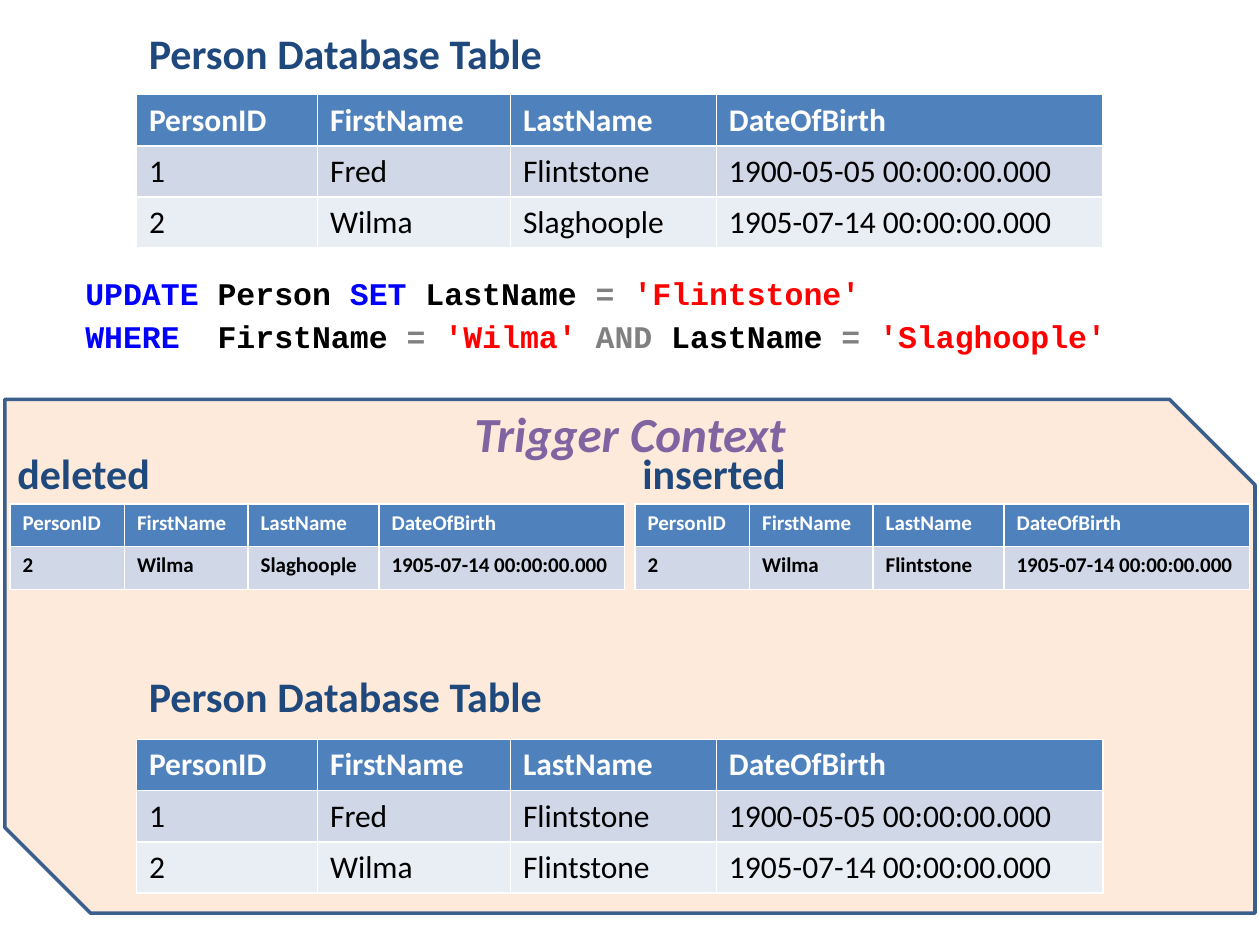
from pptx import Presentation
from pptx.util import Cm, Pt
from pptx.dml.color import RGBColor as RGB
from pptx.enum.shapes import MSO_SHAPE as Kind
from pptx.enum.text import PP_ALIGN as Align

# Content
HEAD = ["PersonID", "FirstName", "LastName", "DateOfBirth"]
FRED = ["1", "Fred", "Flintstone", "1900-05-05 00:00:00.000"]
OLD = ["2", "Wilma", "Slaghoople", "1905-07-14 00:00:00.000"]
NEW = ["2", "Wilma", "Flintstone", "1905-07-14 00:00:00.000"]
SQL = [
    [("key", "UPDATE"), ("ink", " Person "), ("key", "SET "),
     ("ink", "LastName "), ("sign", "= "), ("text", "'Flintstone'")],
    [("key", "WHERE  "), ("ink", "FirstName "), ("sign", "= "),
     ("text", "'Wilma' "), ("sign", "AND "), ("ink", "LastName "),
     ("sign", "= "), ("text", "'Slaghoople'")],
]

THEME = {
    "font": "Calibri", "code": "Courier New",
    "ink": "000000", "key": "0000FF", "sign": "808080", "text": "FF0000",
    "label": "1F497D", "title": "8064A2", "panel": "FDEADA", "edge": "3A5F8C",
    "head": "4F81BD", "white": "FFFFFF", "bands": ("D0D8E8", "E9EDF4"),
    "title_pt": 28, "label_pt": 24, "body_pt": 18, "small_pt": 12,
}

# Table sizes in cm: column widths, row height, type size, bold body
BIG = ((3.65, 3.89, 4.15, 7.8), 1.03, THEME["body_pt"], False)
SMALL = ((2.31, 2.49, 2.64, 4.95), 0.86, THEME["small_pt"], True)

# Label, its left and top; table left, top, size and rows
GROUPS = [
    ("Person Database Table", 2.75, 0.42, 2.75, 1.91, BIG, [FRED, OLD]),
    ("deleted", 0.1, 8.89, 0.2, 10.16, SMALL, [OLD]),
    ("inserted", 12.7, 8.89, 12.8, 10.16, SMALL, [NEW]),
    ("Person Database Table", 2.75, 13.4, 2.75, 14.91, BIG, [FRED, NEW]),
]


def style(par, size, tint, bold=True, face="font"):
    font = par.font
    font.name, font.size, font.bold = THEME[face], Pt(size), bold
    if tint:
        font.color.rgb = RGB.from_string(THEME[tint])


def add_box(slide, left, top, wide, high):
    box = slide.shapes.add_textbox(Cm(left), Cm(top), Cm(wide), Cm(high))
    box.text_frame.word_wrap = True
    return box.text_frame


def add_label(slide, text, left, top, wide, size, tint):
    par = add_box(slide, left, top, wide, 1.27).paragraphs[0]
    par.text = text
    style(par, size, tint)
    return par


def add_grid(slide, left, top, spec, rows):
    wides, high, size, bold = spec
    rows = [HEAD] + rows
    grid = slide.shapes.add_table(
        len(rows), len(wides), Cm(left), Cm(top),
        Cm(sum(wides)), Cm(high * len(rows))).table
    for col, wide in zip(grid.columns, wides):
        col.width = Cm(wide)
    for r, row in enumerate(rows):
        grid.rows[r].height = Cm(high)
        top_row = r == 0
        fill = THEME["head"] if top_row else THEME["bands"][(r - 1) % 2]
        for c, text in enumerate(row):
            cell = grid.cell(r, c)
            cell.fill.solid()
            cell.fill.fore_color.rgb = RGB.from_string(fill)
            cell.text = text
            style(cell.text_frame.paragraphs[0], size,
                  "white" if top_row else "ink", top_row or bold)


def add_code(slide):
    frame = add_box(slide, 1.47, 5.28, 22.02, 2.03)
    for i, line in enumerate(SQL):
        par = frame.add_paragraph() if i else frame.paragraphs[0]
        style(par, THEME["body_pt"], None, face="code")
        par.line_spacing = 1.15
        for tint, text in line:
            run = par.add_run()
            run.text = text
            run.font.color.rgb = RGB.from_string(THEME[tint])
    par.space_after = Pt(10)


def add_panel(slide):
    left, top, wide = 0.1, 8.05, 25.2
    panel = slide.shapes.add_shape(
        Kind.SNIP_2_DIAG_RECTANGLE, Cm(left), Cm(top), Cm(wide), Cm(10.36))
    panel.shadow.inherit = False
    panel.fill.solid()
    panel.fill.fore_color.rgb = RGB.from_string(THEME["panel"])
    panel.line.color.rgb = RGB.from_string(THEME["edge"])
    panel.line.width = Pt(2)
    par = add_label(slide, "Trigger Context", left, top - 0.04, wide,
                    THEME["title_pt"], "title")
    par.alignment = Align.CENTER
    par.font.italic = True


def main():
    deck = Presentation()
    deck.slide_width, deck.slide_height = Cm(25.4), Cm(19.05)
    slide = deck.slides.add_slide(deck.slide_layouts[6])
    add_panel(slide)
    add_code(slide)
    for text, x, y, left, top, spec, rows in GROUPS:
        wide = sum(BIG[0]) if spec is BIG else 4.45
        add_label(slide, text, x, y, wide, THEME["label_pt"], "label")
        add_grid(slide, left, top, spec, rows)
    deck.save("out.pptx")


if __name__ == "__main__":
    main()
